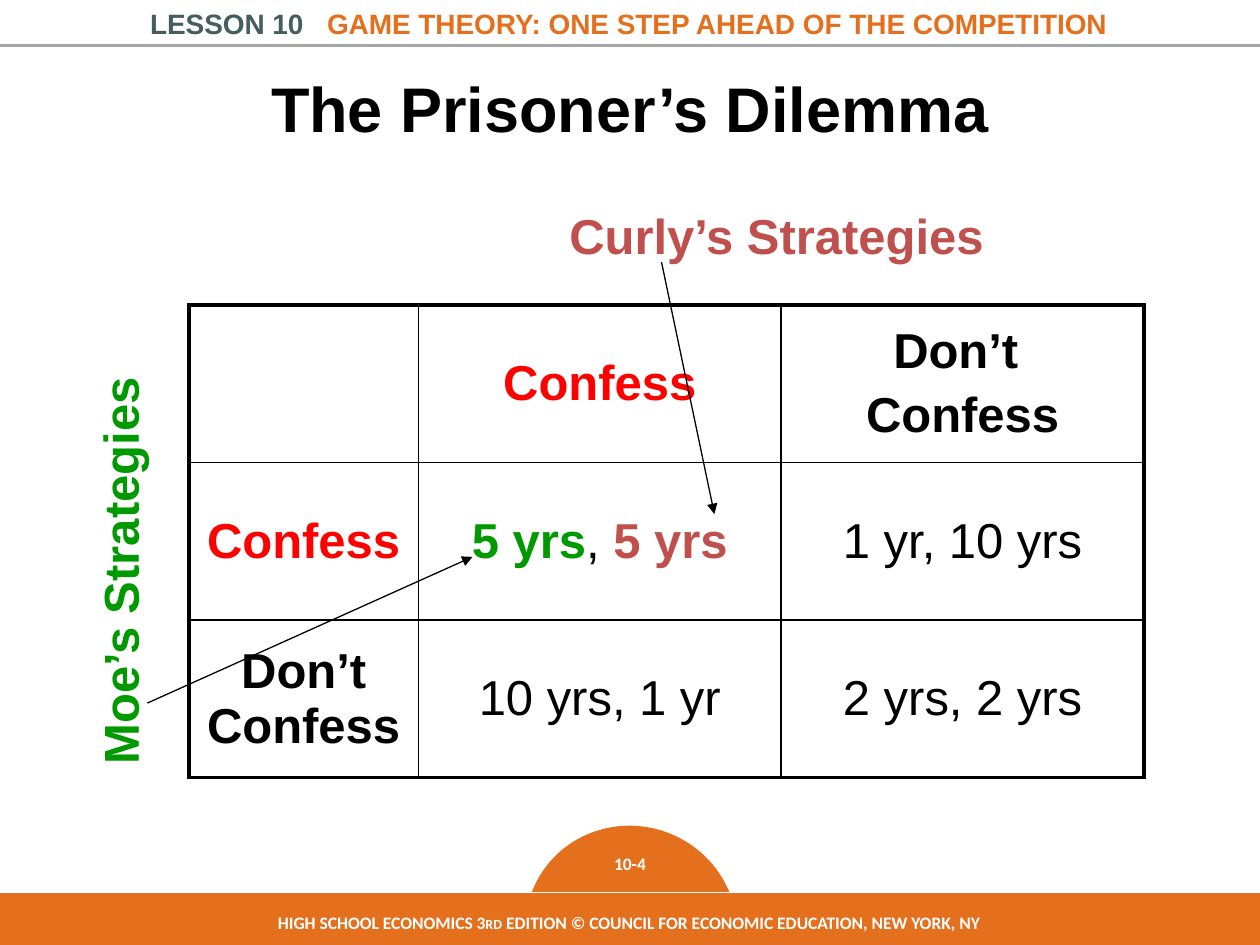
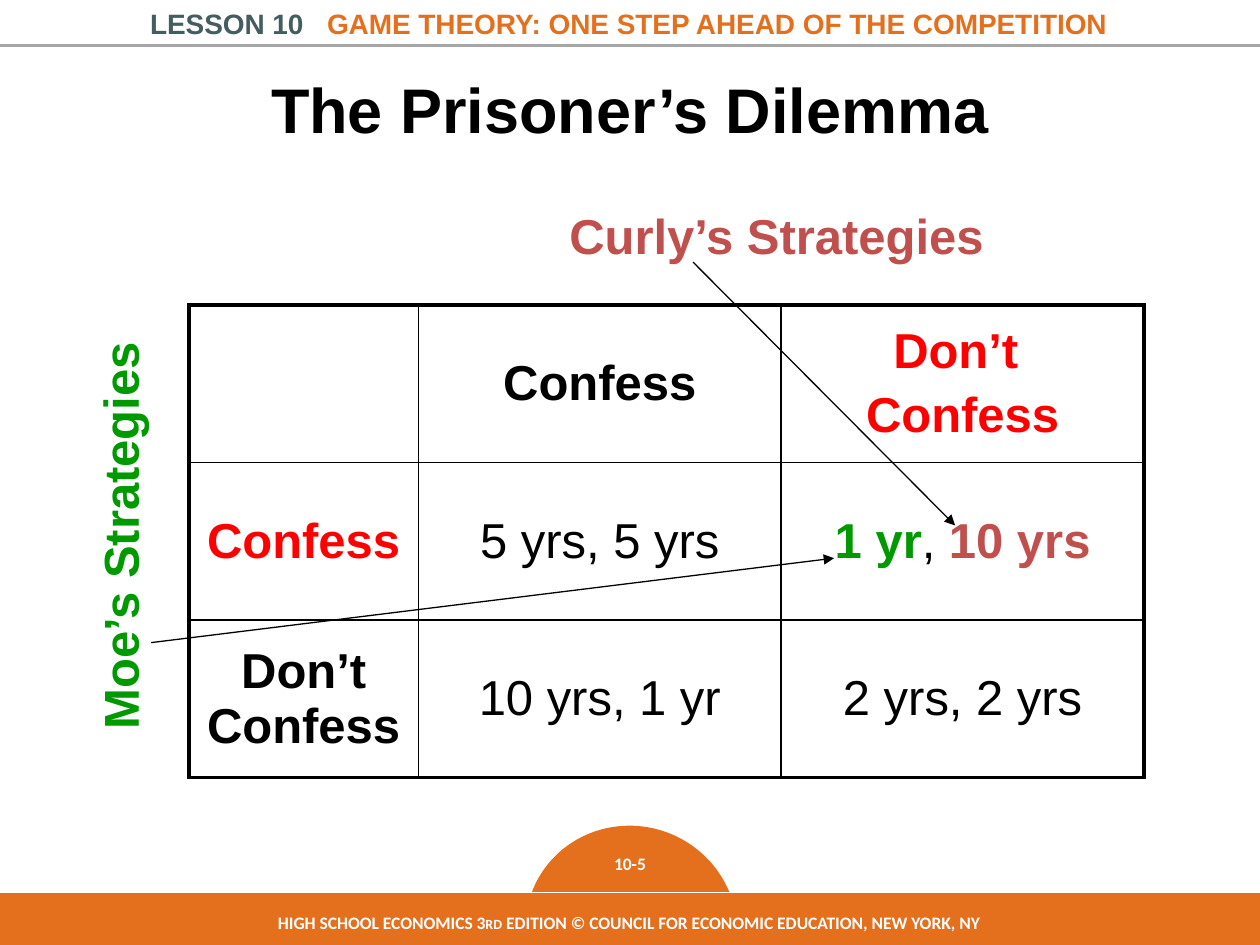
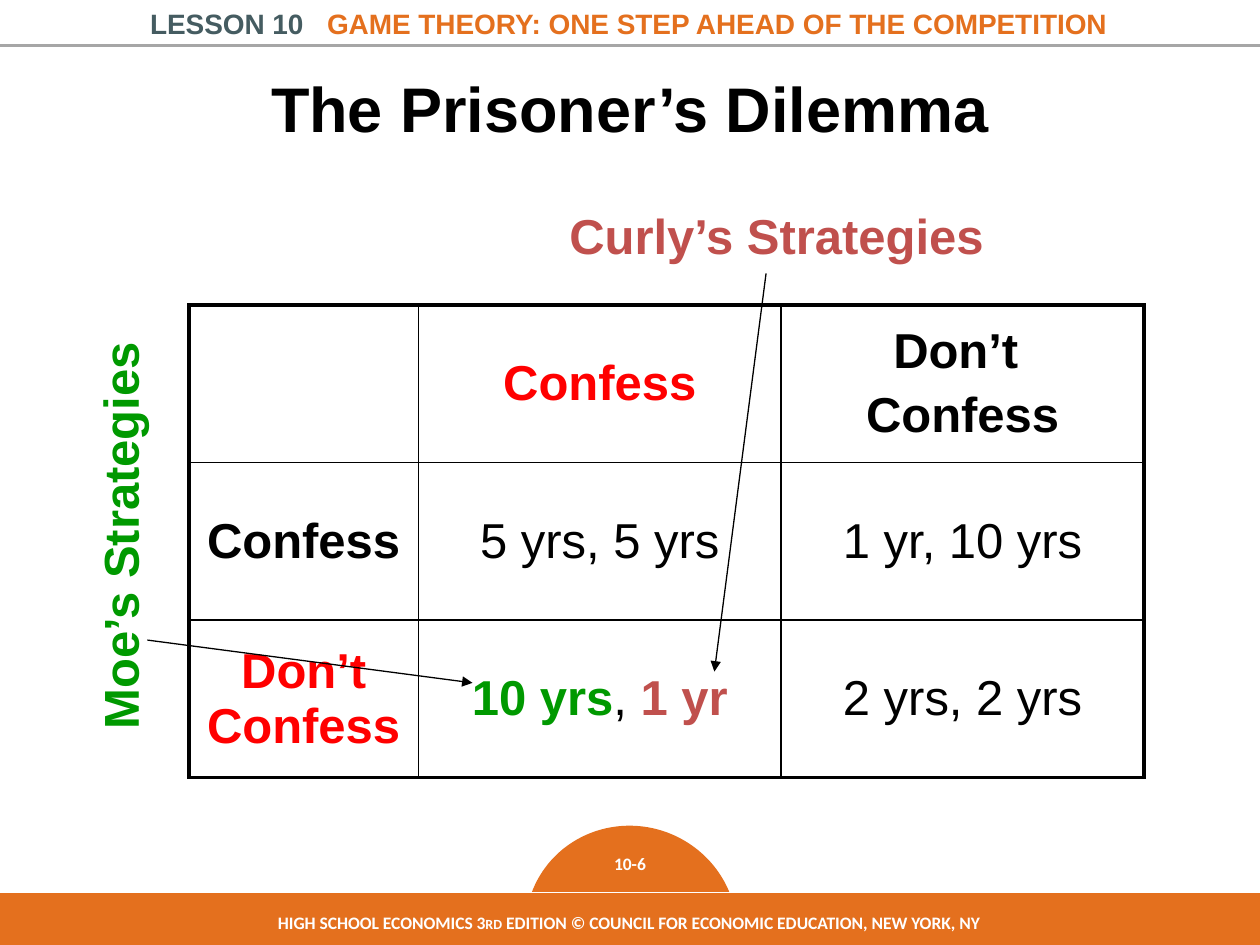
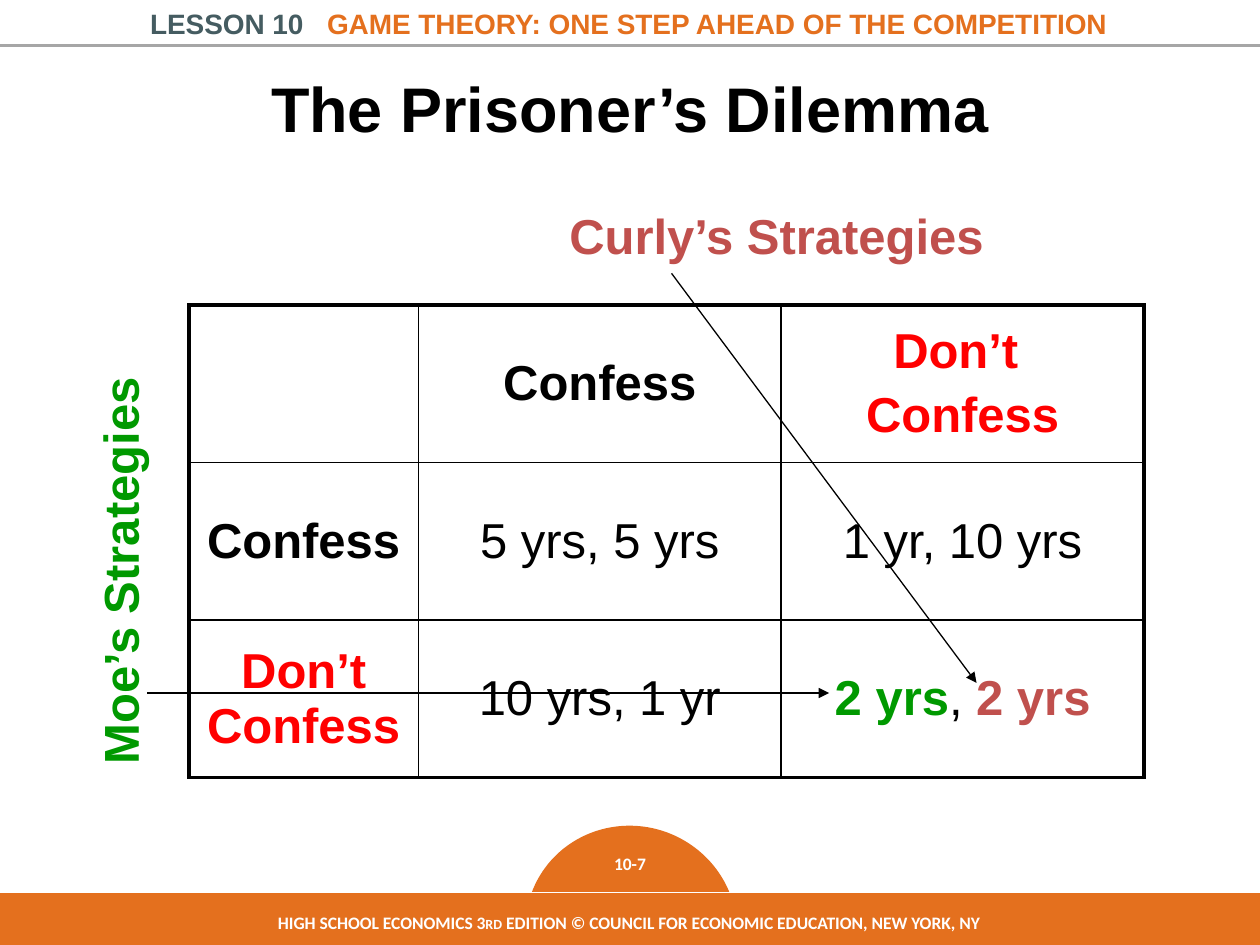
from collections import namedtuple

from lxml.etree import SubElement
from pptx import Presentation
from pptx.dml.color import RGBColor
from pptx.enum.shapes import MSO_CONNECTOR, MSO_SHAPE
from pptx.enum.text import MSO_ANCHOR, MSO_AUTO_SIZE, PP_ALIGN
from pptx.oxml.ns import qn
from pptx.util import Inches, Pt

ORANGE, SLATE, GRAY = "E4701E", "455C61", "A6A6A6"
BLACK, WHITE, RED = "000000", "FFFFFF", "FF0000"
MOE_GREEN, CURLY_RED = "009900", "C0504D"

LESSON = {"name": "Arial", "size": Pt(16), "bold": True, "color": SLATE}
THEME = LESSON | {"color": ORANGE}
TITLE = {"name": "Arial", "size": Pt(36), "bold": True, "color": BLACK}
FOOTER = {"name": "Calibri", "size": Pt(10), "bold": True, "color": WHITE}
ORDINAL = FOOTER | {"size": Pt(8)}
STRONG = {"name": "Arial", "size": Pt(28), "bold": True, "color": BLACK}
PLAIN = STRONG | {"bold": False}
CHOSEN = STRONG | {"color": RED}
MOE = STRONG | {"color": MOE_GREEN}
CURLY = STRONG | {"color": CURLY_RED}

HEADER_BOX = (0, 0, 10, 0.37)
FOOTER_BOX = (-0.04, 7.08, 10.06, 0.42)
MATRIX_BOX = (1.5, 2.42, 7.58, 3.75)
LABEL_COLUMN = 1.82
CURLY_BOX = (4.42, 1.58, 3.51, 0.57)

COLUMN_LABELS = [["Confess"], ["Don’t ", "Confess"]]
ROW_LABELS = ["Confess", "Don’t Confess"]
SENTENCES = [[("5 yrs", "5 yrs"), ("1 yr", "10 yrs")],
             [("10 yrs", "1 yr"), ("2 yrs", "2 yrs")]]

Scenario = namedtuple(
    "Scenario", "number row column title_top title_height moe_top moe_arrow curly_arrow")
SCENARIOS = [
    Scenario("10-4", 0, 0, 0.42, 0.87, 4.23, (1.17, 5.58, 3.75, 4.42), (5.25, 2.08, 5.67, 4.08)),
    Scenario("10-5", 0, 1, 0.47, 0.78, 3.95, (1.2, 5.1, 6.62, 4.43), (5.5, 2.08, 7.58, 4.17)),
    Scenario("10-6", 1, 0, 0.38, 0.95, 3.95, (1.17, 5.08, 3.75, 5.42), (6.08, 2.17, 5.67, 5.33)),
    Scenario("10-7", 1, 1, 0.38, 0.95, 4.23, (1.17, 5.5, 6.58, 5.5), (5.33, 2.17, 7.75, 5.42)),
]


def rgb(color):
    return RGBColor.from_string(color)


def inches(values):
    return [Inches(value) for value in values]


def add_run(paragraph, text, style):
    run = paragraph.add_run()
    run.text = text
    for name, value in style.items():
        if name == "color":
            run.font.color.rgb = rgb(value)
        else:
            setattr(run.font, name, value)
    return run


def add_text(slide, box, pieces, alignment=PP_ALIGN.CENTER, wrap=True):
    """Add a one-paragraph text box from (text, style) pieces."""
    shape = slide.shapes.add_textbox(*inches(box))
    frame = shape.text_frame
    frame.word_wrap = wrap
    frame.auto_size = MSO_AUTO_SIZE.SHAPE_TO_FIT_TEXT
    paragraph = frame.paragraphs[0]
    paragraph.alignment = alignment
    for text, style in pieces:
        add_run(paragraph, text, style)
    return shape


def add_band(slide, kind, box, line_color, line_width):
    shape = slide.shapes.add_shape(kind, *inches(box))
    shape.shadow.inherit = False
    shape.fill.solid()
    shape.fill.fore_color.rgb = rgb(ORANGE)
    shape.line.color.rgb = rgb(line_color)
    shape.line.width = Pt(line_width)
    return shape


def add_line(slide, ends, color, width, arrow=False):
    connector = slide.shapes.add_connector(MSO_CONNECTOR.STRAIGHT, *inches(ends))
    connector.line.color.rgb = rgb(color)
    connector.line.width = Pt(width)
    properties = connector._element.spPr
    if arrow:
        SubElement(properties.find(qn("a:ln")), qn("a:tailEnd"), type="triangle")
    SubElement(properties, qn("a:effectLst"))


def add_header(slide, box):
    left, top, width, height = box
    rule = top + height - 0.01
    add_line(slide, (left, rule, left + width, rule), GRAY, 2)
    heading = add_text(slide, (left + 0.95, top, 8.08, height), [
        ("LESSON 10", LESSON), (" ", LESSON),
        ("GAME THEORY: ONE STEP AHEAD OF THE COMPETITION", THEME)])
    gap = heading.text_frame.paragraphs[0].runs[1]
    gap._r.get_or_add_rPr().set("spc", "890")


def add_footer(slide, box, number):
    left, top, width, height = box
    dome = add_band(slide, MSO_SHAPE.CHORD, (left + 4.24, top - 0.53, 1.62, 1.66), ORANGE, 2)
    dome.rotation = 112.5
    for index, angle in enumerate((39.96, 148.42)):
        dome.adjustments[index] = angle
    add_text(slide, (left + 4.54, top - 0.36, 1, 0.27), [(number, FOOTER)])
    add_band(slide, MSO_SHAPE.RECTANGLE, box, WHITE, 0.25)
    add_text(slide, (left + 1.32, top + 0.11, 7.42, 0.27), [
        ("HIGH SCHOOL ECONOMICS 3", FOOTER), ("RD", ORDINAL),
        (" EDITION © COUNCIL FOR ECONOMIC EDUCATION, NEW YORK, NY", FOOTER)])


def set_title(slide, box):
    title = slide.shapes.title
    title.left, title.top, title.width, title.height = inches(box)
    frame = title.text_frame
    frame.auto_size = MSO_AUTO_SIZE.NONE
    frame.vertical_anchor = MSO_ANCHOR.MIDDLE
    paragraph = frame.paragraphs[0]
    paragraph.alignment = PP_ALIGN.CENTER
    add_run(paragraph, "The Prisoner’s Dilemma", TITLE)


def set_borders(cell, row, column, last=2):
    """Draw thick borders on the outside of the matrix and thin ones inside."""
    outer = {"L": column == 0, "R": column == last, "T": row == 0, "B": row == last}
    properties = cell._tc.get_or_add_tcPr()
    for side, is_outer in outer.items():
        line = SubElement(properties, qn(f"a:ln{side}"), w=str(Pt(2.25 if is_outer else 1)))
        fill = SubElement(line, qn("a:solidFill"))
        SubElement(fill, qn("a:srgbClr"), val=BLACK)


def cell_paragraphs(row, column, scenario):
    """Return the paragraphs of a matrix cell as lists of (text, style) pieces."""
    if row == column == 0:
        return []
    if row == 0:
        style = CHOSEN if column - 1 == scenario.column else STRONG
        return [[(text, style)] for text in COLUMN_LABELS[column - 1]]
    if column == 0:
        style = CHOSEN if row - 1 == scenario.row else STRONG
        return [[(ROW_LABELS[row - 1], style)]]
    moe, curly = SENTENCES[row - 1][column - 1]
    if (row - 1, column - 1) == (scenario.row, scenario.column):
        return [[(moe, MOE), (", ", PLAIN), (curly, CURLY)]]
    return [[(f"{moe}, {curly}", PLAIN)]]


def fill_cell(cell, paragraphs):
    cell.fill.background()
    cell.vertical_anchor = MSO_ANCHOR.MIDDLE
    frame = cell.text_frame
    for index, pieces in enumerate(paragraphs):
        paragraph = frame.add_paragraph() if index else frame.paragraphs[0]
        paragraph.alignment = PP_ALIGN.CENTER
        if index:
            paragraph.space_before = Pt(5.6)
        for text, style in pieces:
            add_run(paragraph, text, style)


def add_matrix(slide, box, scenario):
    table = slide.shapes.add_table(3, 3, *inches(box)).table
    table.first_row = table.horz_banding = False
    choice_column = (box[2] - LABEL_COLUMN) / 2
    for column, width in zip(table.columns, (LABEL_COLUMN, choice_column, choice_column)):
        column.width = Inches(width)
    for row in range(3):
        table.rows[row].height = Inches(box[3] / 3)
        for column in range(3):
            cell = table.cell(row, column)
            set_borders(cell, row, column)
            fill_cell(cell, cell_paragraphs(row, column, scenario))


def add_players(slide, curly_box, moe_box):
    add_text(slide, curly_box, [("Curly’s Strategies", CURLY)], PP_ALIGN.LEFT, wrap=False)
    moe = add_text(slide, moe_box, [("Moe’s Strategies", MOE)], PP_ALIGN.LEFT, wrap=False)
    moe.rotation = 270


def add_scenario_slide(presentation, scenario):
    slide = presentation.slides.add_slide(presentation.slide_layouts[5])
    add_header(slide, HEADER_BOX)
    add_footer(slide, FOOTER_BOX, scenario.number)
    set_title(slide, (0.5, scenario.title_top, 9, scenario.title_height))
    add_matrix(slide, MATRIX_BOX, scenario)
    add_players(slide, CURLY_BOX, (-0.7, scenario.moe_top, 3.3, 0.57))
    for ends in (scenario.moe_arrow, scenario.curly_arrow):
        add_line(slide, ends, BLACK, 0.75, arrow=True)


def main():
    presentation = Presentation()
    presentation.slide_width = Inches(10)
    presentation.slide_height = Inches(7.5)
    for scenario in SCENARIOS:
        add_scenario_slide(presentation, scenario)
    presentation.save("out.pptx")


if __name__ == "__main__":
    main()
